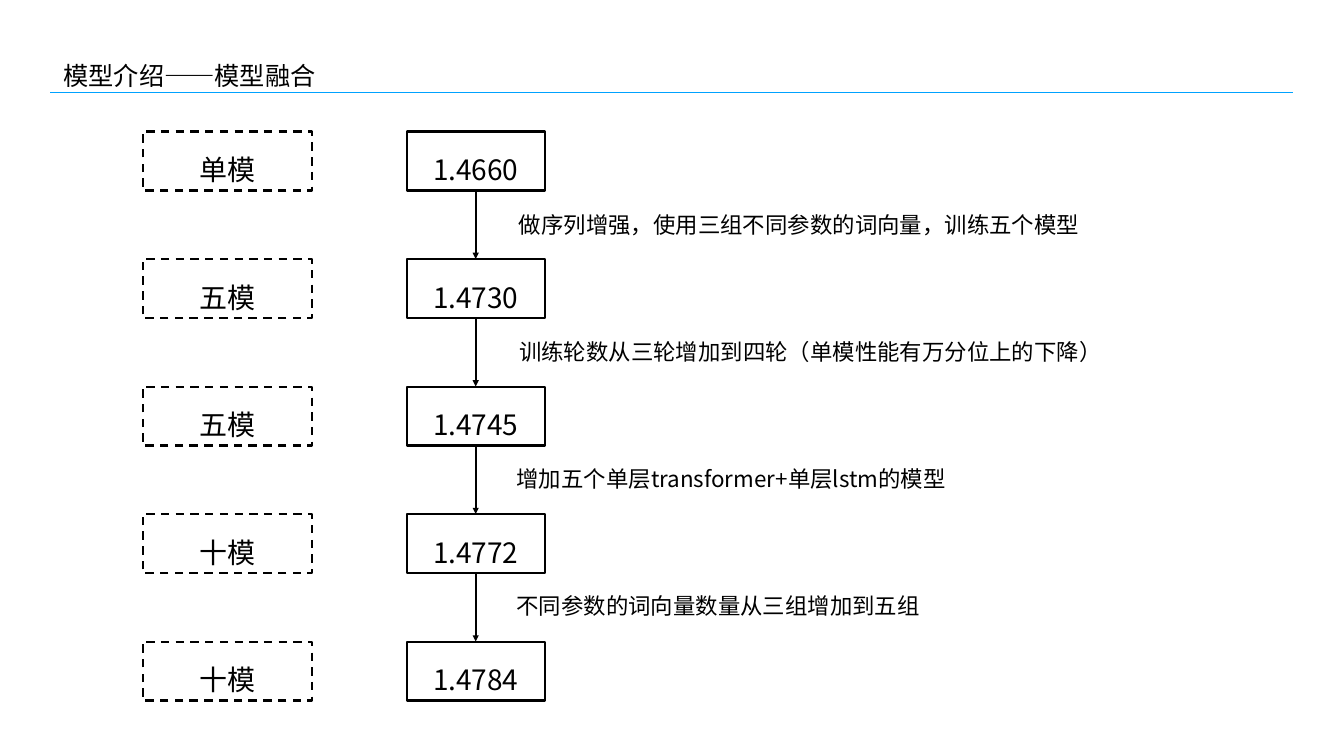
from lxml.etree import SubElement
from pptx import Presentation
from pptx.dml.color import RGBColor
from pptx.enum.dml import MSO_LINE
from pptx.enum.shapes import MSO_CONNECTOR, MSO_SHAPE
from pptx.enum.text import MSO_ANCHOR, PP_ALIGN
from pptx.oxml.ns import qn
from pptx.util import Inches, Pt

COLORS = {"ink": "000000", "rule": "00A2FF"}
FONT = "Noto Sans CJK SC"
TOP, STEP, HIGH = 2.61, 2.53, 1.17
STAGES = [
    ("单模", "1.4660"),
    ("五模", "1.4730"),
    ("五模", "1.4745"),
    ("十模", "1.4772"),
    ("十模", "1.4784"),
]
NOTES = [
    ("做序列增强，使用三组不同参数的词向量，训练五个模型", 11.38, PP_ALIGN.CENTER),
    ("训练轮数从三轮增加到四轮（单模性能有万分位上的下降）", 11.83, PP_ALIGN.CENTER),
    ("增加五个单层transformer+单层lstm的模型", 8.88, PP_ALIGN.LEFT),
    ("不同参数的词向量数量从三组增加到五组", 8.24, PP_ALIGN.LEFT),
]


def color(name):
    return RGBColor.from_string(COLORS[name])


def write(shape, text, size, align, space=None):
    frame = shape.text_frame
    frame.word_wrap = True
    frame.vertical_anchor = MSO_ANCHOR.MIDDLE
    frame.margin_left = frame.margin_right = Inches(0.08)
    frame.margin_top = frame.margin_bottom = Inches(0.08)
    para = frame.paragraphs[0]
    para.text = text
    para.alignment = align
    para.line_spacing = space
    font = para.font
    font.size = Pt(size)
    font.name = FONT
    font.color.rgb = color("ink")
    props = para._p.pPr.find(qn("a:defRPr"))
    SubElement(props, qn("a:ea")).set("typeface", FONT)


def add_text(slide, text, left, top, width, height, size, align):
    box = slide.shapes.add_textbox(
        Inches(left), Inches(top), Inches(width), Inches(height)
    )
    write(box, text, size, align)


def add_box(slide, text, left, top, width, dash=None):
    box = slide.shapes.add_shape(
        MSO_SHAPE.RECTANGLE, Inches(left), Inches(top), Inches(width), Inches(HIGH)
    )
    box.shadow.inherit = False
    box.fill.background()
    box.line.color.rgb = color("ink")
    box.line.width = Pt(3)
    box.line.dash_style = dash
    write(box, text, 40, PP_ALIGN.CENTER, 1.5)
    return box


def add_line(slide, x1, y1, x2, y2, name, width):
    line = slide.shapes.add_connector(
        MSO_CONNECTOR.STRAIGHT, Inches(x1), Inches(y1), Inches(x2), Inches(y2)
    )
    line.line.color.rgb = color(name)
    line.line.width = Pt(width)
    SubElement(line._element.spPr, qn("a:effectLst"))
    return line


def add_arrow(slide, start, end):
    arrow = add_line(slide, 0, 0, 0, 0, "ink", 3)
    arrow.begin_connect(start, 2)
    arrow.end_connect(end, 0)
    SubElement(arrow.line._ln, qn("a:tailEnd")).set("type", "triangle")


def main():
    deck = Presentation()
    deck.slide_width, deck.slide_height = Inches(26.67), Inches(15)
    slide = deck.slides.add_slide(deck.slide_layouts[6])

    add_line(slide, 1, 1.83, 25.65, 1.83, "rule", 2)
    add_text(slide, "模型介绍——模型融合", 1.18, 1.11, 21.61, 0.76, 36, PP_ALIGN.LEFT)

    scores = []
    for row, (model, score) in enumerate(STAGES):
        top = TOP + row * STEP
        add_box(slide, model, 2.83, top, 3.36, MSO_LINE.DASH)
        scores.append(add_box(slide, score, 8.07, top, 2.74))

    for start, end in zip(scores, scores[1:]):
        add_arrow(slide, start, end)

    for row, (text, width, align) in enumerate(NOTES):
        add_text(slide, text, 10.17, 4.11 + row * 2.52, width, 0.7, 32, align)

    deck.save("out.pptx")


if __name__ == "__main__":
    main()
